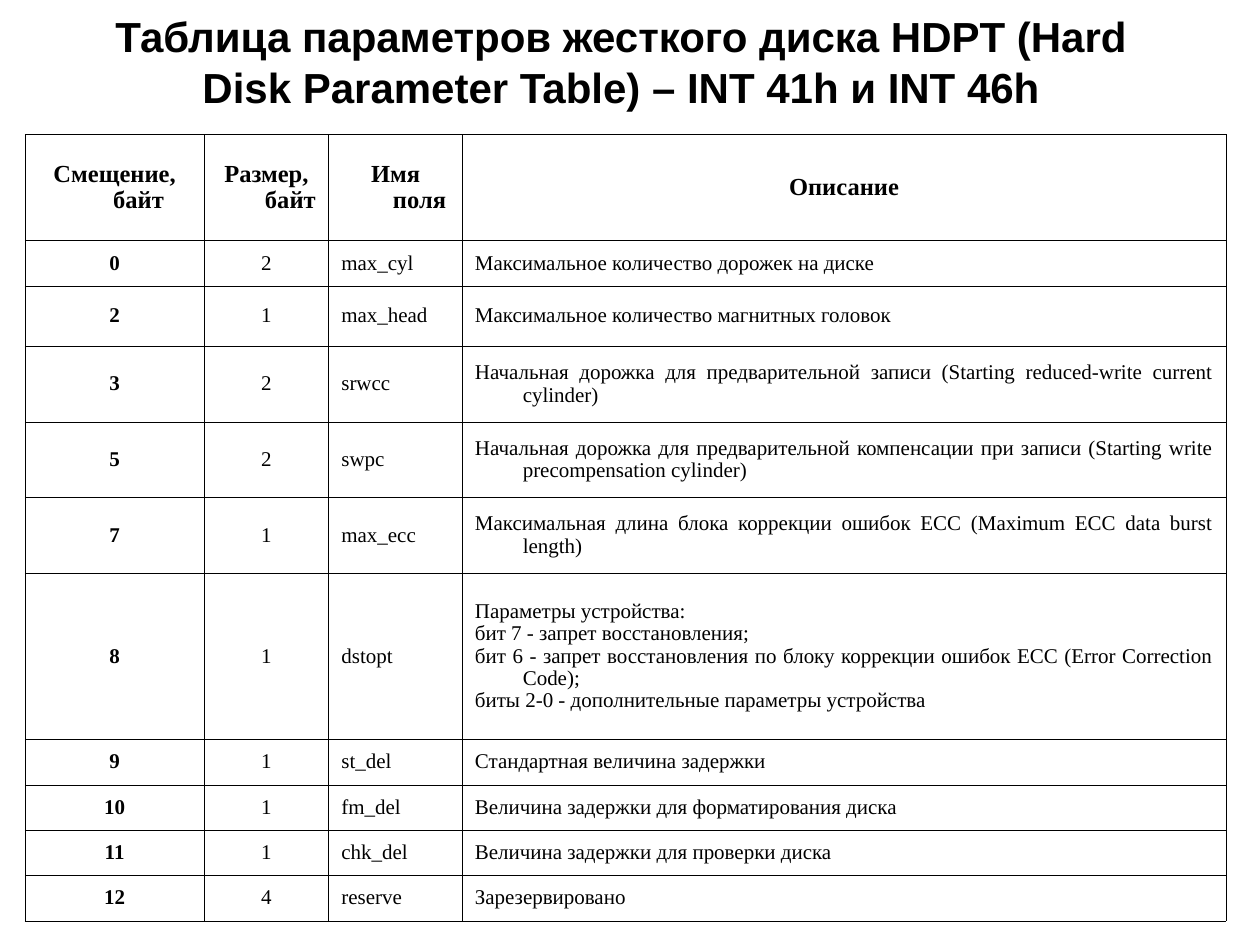
from lxml import etree
from pptx import Presentation
from pptx.dml.color import RGBColor
from pptx.enum.text import MSO_ANCHOR, MSO_AUTO_SIZE, PP_ALIGN
from pptx.oxml.ns import qn
from pptx.util import Inches, Pt

BLACK = RGBColor(0, 0, 0)
CENTER, JUST = PP_ALIGN.CENTER, PP_ALIGN.JUSTIFY
MIDDLE = MSO_ANCHOR.MIDDLE
NO_FIT = MSO_AUTO_SIZE.NONE

TITLE = "Таблица параметров жесткого диска HDPT (Hard Disk Parameter Table) – INT 41h и INT 46h"
HEAD = ["Смещение, байт", "Размер, байт", "Имя поля", "Описание"]
FIELDS = [
    ("0", "2", "max_cyl", "Максимальное количество дорожек на диске"),
    ("2", "1", "max_head", "Максимальное количество магнитных головок"),
    ("3", "2", "srwcc", "Начальная дорожка для предварительной записи (Starting reduced-write current cylinder)"),
    ("5", "2", "swpc", "Начальная дорожка для предварительной компенсации при записи "
     "(Starting write precompensation cylinder)"),
    ("7", "1", "max_ecc", "Максимальная длина блока коррекции ошибок ECC (Maximum ECC data burst length)"),
    ("8", "1", "dstopt", "Параметры устройства:\nбит 7 - запрет восстановления;\n"
     "бит 6 - запрет восстановления по блоку коррекции ошибок ECC (Error Correction Code);\n"
     "биты 2-0 - дополнительные параметры устройства"),
    ("9", "1", "st_del", "Стандартная величина задержки"),
    ("10", "1", "fm_del", "Величина задержки для форматирования диска"),
    ("11", "1", "chk_del", "Величина задержки для проверки диска"),
    ("12", "4", "reserve", "Зарезервировано"),
]
COLS = [1.42, 0.99, 1.06, 6.06]
ROWS = [0.84, 0.36, 0.48] + [0.6] * 3 + [1.32] + [0.36] * 4
HANG = 0.38


def write(frame, text, size, font="Times New Roman", bold=False, align=CENTER, hang=0, space=1.0):
    frame.text = text
    for para in frame.paragraphs:
        para.alignment = align
        para.line_spacing = space
        para.space_before = Pt(0)
        props = para._p.get_or_add_pPr()
        props.set("marL", str(Inches(hang)))
        props.set("indent", str(-Inches(hang)))
        for run in para.runs:
            run.font.name = font
            run.font.size = Pt(size)
            run.font.bold = bold
            run.font.color.rgb = BLACK


def frame_cell(cell):
    props = cell._tc.get_or_add_tcPr()
    for side in ("lnL", "lnR", "lnT", "lnB"):
        line = etree.SubElement(props, qn("a:" + side), w=str(Pt(0.45)))
        fill = etree.SubElement(line, qn("a:solidFill"))
        etree.SubElement(fill, qn("a:srgbClr"), val=str(BLACK))
    cell.fill.background()


def main():
    deck = Presentation()
    deck.slide_width, deck.slide_height = Inches(10), Inches(7.5)
    slide = deck.slides.add_slide(deck.slide_layouts[5])

    title = slide.shapes.title
    title.left, title.top = Inches(0.43), Inches(0.13)
    title.width, title.height = Inches(9), Inches(0.71)
    frame = title.text_frame
    frame.auto_size = NO_FIT
    frame.word_wrap = True
    frame.vertical_anchor = MIDDLE
    frame.margin_left = frame.margin_right = Inches(0.15)
    write(frame, TITLE, 24, font="Arial", bold=True)

    table = slide.shapes.add_table(
        len(ROWS), len(COLS), Inches(0.2), Inches(1.07),
        Inches(sum(COLS)), Inches(sum(ROWS))).table
    table.first_row = table.horz_banding = False
    for col, width in zip(table.columns, COLS):
        col.width = Inches(width)
    for row, height in zip(table.rows, ROWS):
        row.height = Inches(height)

    for r, texts in enumerate([HEAD] + FIELDS):
        top = r == 0
        for c, text in enumerate(texts):
            cell = table.cell(r, c)
            cell.vertical_anchor = MIDDLE
            frame_cell(cell)
            write(cell.text_frame, text, 14 if top else 12, bold=top or c == 0,
                  align=CENTER if top or c < 2 else JUST, hang=HANG, space=0.96)

    deck.save("out.pptx")


if __name__ == "__main__":
    main()
